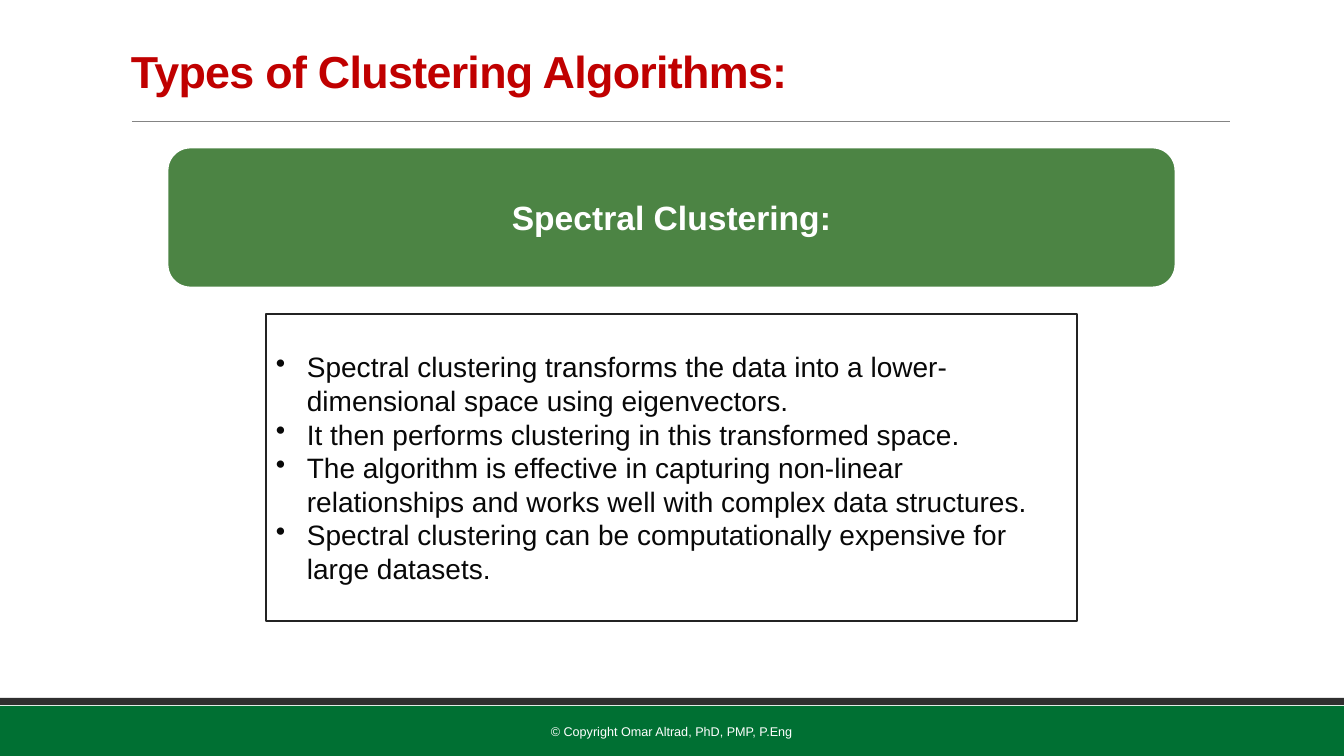
from lxml.etree import SubElement
from pptx import Presentation
from pptx.dml.color import RGBColor
from pptx.enum.shapes import MSO_CONNECTOR as Connector, MSO_SHAPE as Shape
from pptx.enum.text import MSO_ANCHOR as Anchor, PP_ALIGN as Align
from pptx.oxml.ns import qn
from pptx.util import Pt

WIDTH, HEIGHT = 1344, 756
EMU_PER_PX = 12192000 / WIDTH
COLORS = {
    "footer": "007033",
    "strip": "2F2F2F",
    "rule": "848484",
    "title": "C00000",
    "banner": "4C8444",
    "border": "232323",
    "text": "080808",
    "white": "FFFFFF",
}
POINTS = [
    "Spectral clustering transforms the data into a lower-dimensional space using eigenvectors.",
    "It then performs clustering in this transformed space.",
    "The algorithm is effective in capturing non-linear relationships "
    "and works well with complex data structures.",
    "Spectral clustering can be computationally expensive for large datasets.",
]


def px(length):
    return round(length * EMU_PER_PX)


def color(name):
    return RGBColor.from_string(COLORS[name])


class SlideBuilder:
    font = "Arial"
    bullet_indent = 31

    def __init__(self, slide):
        self.slide = slide

    def box(self, kind, bounds, fill, border=None, border_width=1.0):
        shape = self.slide.shapes.add_shape(kind, *map(px, bounds))
        shape.shadow.inherit = False
        shape.fill.solid()
        shape.fill.fore_color.rgb = color(fill)
        if border:
            shape.line.color.rgb = color(border)
            shape.line.width = Pt(border_width)
        else:
            shape.line.fill.background()
        return shape

    def rule(self, left, right, y, tint, width):
        line = self.slide.shapes.add_connector(
            Connector.STRAIGHT, px(left), px(y), px(right), px(y))
        line.line.color.rgb = color(tint)
        line.line.width = Pt(width)
        SubElement(line._element.spPr, qn("a:effectLst"))

    def set_text(self, shape, lines, size, tint, align=Align.LEFT, bold=False):
        """Fill a shape with paragraphs, centred vertically."""
        frame = shape.text_frame
        frame.word_wrap = True
        frame.vertical_anchor = Anchor.MIDDLE
        frame.text = "\n".join(lines)
        for paragraph in frame.paragraphs:
            paragraph.alignment = align
            paragraph.font.name = self.font
            paragraph.font.size = Pt(size)
            paragraph.font.bold = bold
            paragraph.font.color.rgb = color(tint)
        return frame.paragraphs

    def label(self, bounds, text, size, tint, **style):
        area = self.slide.shapes.add_textbox(*map(px, bounds))
        return self.set_text(area, [text], size, tint, **style)[0]

    def bullets(self, shape, lines, size, tint):
        for paragraph in self.set_text(shape, lines, size, tint):
            properties = paragraph._p.get_or_add_pPr()
            properties.set("marL", str(px(self.bullet_indent)))
            properties.set("indent", str(-px(self.bullet_indent)))
            bullet = properties.makeelement(qn("a:buChar"), {"char": "•"})
            properties.find(qn("a:defRPr")).addprevious(bullet)


def main():
    deck = Presentation()
    deck.slide_width, deck.slide_height = px(WIDTH), px(HEIGHT)
    page = SlideBuilder(deck.slides.add_slide(deck.slide_layouts[6]))

    page.box(Shape.RECTANGLE, (0, 706, WIDTH, 50), "footer")
    page.box(Shape.RECTANGLE, (0, 698, WIDTH, 7), "strip")
    page.rule(132, 1230, 121, "rule", 0.5)

    title = page.label((121, 31, 1109, 87), "Types of Clustering Algorithms:",
                       32, "title", bold=True)
    title.line_spacing = 0.85
    title.runs[0].font._element.set("spc", "-50")

    page.label((406, 712, 531, 40), "© Copyright Omar Altrad, PhD, PMP, P.Eng",
               9, "white", align=Align.CENTER)

    banner = page.box(Shape.ROUNDED_RECTANGLE, (167, 147, 1009, 141),
                      "banner", "white", 2)
    page.set_text(banner, ["Spectral Clustering:"], 24, "white",
                  align=Align.CENTER, bold=True)

    details = page.box(Shape.RECTANGLE, (266, 314, 811, 307),
                       "white", "border", 1.25)
    page.bullets(details, POINTS, 20, "text")

    deck.save("out.pptx")


if __name__ == "__main__":
    main()
